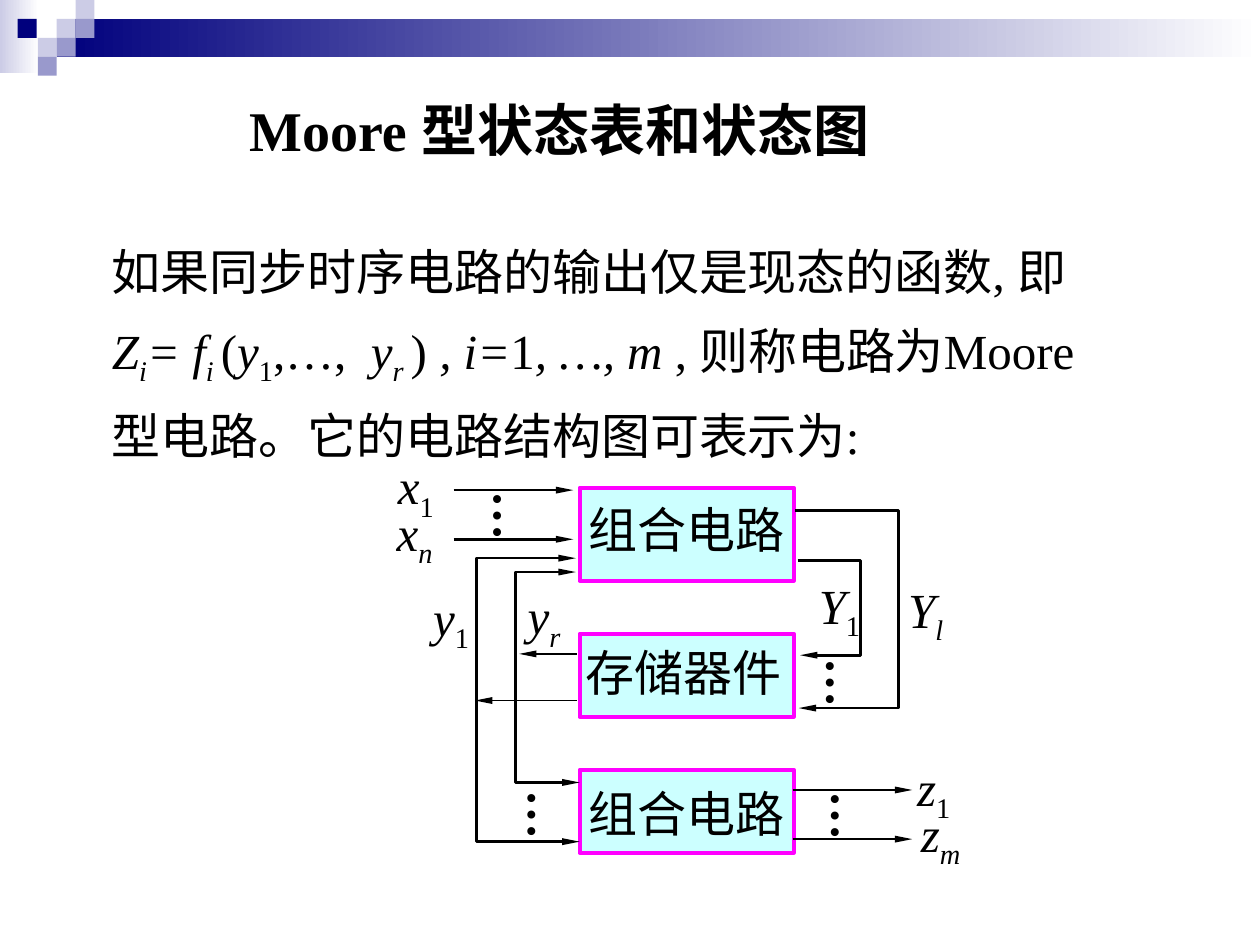
from lxml import etree
from pptx import Presentation
from pptx.dml.color import RGBColor
from pptx.enum import shapes, text
from pptx.oxml import ns
from pptx import util as u

PX = 9144
FONT = "Times New Roman"
COLORS = {
    "ink": "000000", "paper": "FFFFFF", "navy": "00007D", "lilac": "CCCCE6",
    "violet": "9999CC", "block": "CCFFFF", "edge": "FF00FF",
}


def rgb(name):
    """Return the named colour."""
    return RGBColor.from_string(COLORS[name])


def px(*lengths):
    """Turn px lengths into EMU."""
    return [u.Emu(length * PX) for length in lengths]


def add_text(slide, box, runs, size=28, bold=False, wrap=False, spacing=None,
             before=None, vertical=False):
    """Add text from (words, style) runs, where i is italic and s is subscript."""
    label = slide.shapes.add_textbox(*px(*box))
    frame = label.text_frame
    frame.word_wrap = wrap
    frame.auto_size = text.MSO_AUTO_SIZE.SHAPE_TO_FIT_TEXT
    if vertical:
        frame.margin_left, frame.margin_right = px(5, 5)
        frame.margin_top, frame.margin_bottom = px(10, 10)
        frame._txBody.bodyPr.set("vert", "eaVert")
    paragraph = frame.paragraphs[0]
    if spacing:
        paragraph.line_spacing = spacing
    if before:
        paragraph.space_before = u.Pt(before)
    for words, style in runs:
        run = paragraph.add_run()
        run.text = words
        run.font.name = FONT
        run.font.size = u.Pt(size)
        run.font.bold = bold
        run.font.italic = "i" in style
        run.font.color.rgb = rgb("ink")
        if "s" in style:
            run._r.get_or_add_rPr().set("baseline", "-25000")


def add_rect(slide, box, fill, fade_to=None, edge=None):
    """Add a rectangle with a plain or fading fill."""
    rect = slide.shapes.add_shape(shapes.MSO_SHAPE.RECTANGLE, *px(*box))
    rect.shadow.inherit = False
    if fade_to:
        rect.fill.gradient()
        rect.fill.gradient_angle = 0
        for stop, color in zip(rect.fill.gradient_stops, (fill, fade_to)):
            stop.color.rgb = rgb(color)
    else:
        rect.fill.solid()
        rect.fill.fore_color.rgb = rgb(fill)
    if edge:
        rect.line.color.rgb = rgb(edge)
        rect.line.width = u.Pt(2.25)
    else:
        rect.line.fill.background()


def style_wire(wire, weight, ends):
    """Draw a wire in ink with slim arrowheads at the given ends."""
    wire.line.color.rgb = rgb("ink")
    wire.line.width = u.Pt(weight)
    for end in ends:
        etree.SubElement(wire.line._get_or_add_ln(), ns.qn(f"a:{end}"),
                         type="triangle", w="sm", len="lg")


def add_arrow(slide, start, end, weight=1.5):
    """Add a straight arrow."""
    arrow = slide.shapes.add_connector(
        shapes.MSO_CONNECTOR.STRAIGHT, *px(*start, *end))
    style_wire(arrow, weight, ["tailEnd"])
    etree.SubElement(arrow._element.spPr, ns.qn("a:effectLst"))


def add_loop(slide, points, ends):
    """Add a bent wire through the points."""
    builder = slide.shapes.build_freeform(*points[0], scale=PX)
    builder.add_line_segments(points[1:], close=False)
    loop = builder.convert_to_shape()
    loop.shadow.inherit = False
    loop.fill.background()
    style_wire(loop, 1.5, ends)


def add_banner(slide, left, top, width):
    """Place the fading bar and its checker of squares."""
    add_rect(slide, (left, top, 31, 58), "lilac", fade_to="paper")
    add_rect(slide, (left + 45, top + 15, width - 45, 30), "navy", fade_to="paper")
    squares = [(45, 15, "lilac"), (60, 0, "lilac"), (60, 15, "violet"),
               (30, 30, "lilac"), (14, 15, "navy"), (45, 30, "violet"),
               (30, 45, "violet")]
    for x, y, color in squares:
        add_rect(slide, (left + x, top + y, 15, 15), color)


def add_definition(slide, box):
    """Place the definition of a Moore circuit."""
    runs = [
        ("如果同步时序电路的输出仅是现态的函数, 即", ""), ("Z", "i"), ("i", "is"),
        ("= f", "i"), ("i ", "is"), ("(", ""), ("y", "i"), ("1", "s"),
        (",…,  ", ""), ("y", "i"), ("r ", "is"), (") ", ""), (", i=", "i"),
        ("1", ""), (", …, m", "i"),
        (" , 则称电路为Moore型电路。它的电路结构图可表示为:", ""),
    ]
    add_text(slide, box, runs, wrap=True, spacing=1.3, before=17.5)


def add_circuit(slide, left, top):
    """Place the block diagram of the circuit."""
    def at(x, y):
        return left + x, top + y

    blocks = [("组合电路", 37, 74, (157, 47, 178)),
              ("存储器件", 153, 66, (155, 160, 189)),
              ("组合电路", 261, 66, (157, 272, 178))]
    for name, y, height, (name_x, name_y, name_width) in blocks:
        add_rect(slide, (*at(160, y), 170, height), "block", edge="edge")
        add_text(slide, (*at(name_x, name_y), name_width, 52), [(name, "")],
                 wrap=True, spacing=0.9)

    arrows = [(60, 155, 39, 1.5), (60, 155, 78, 1.5),
              (158, 112, 169, 1), (158, 77, 206, 1),
              (329, 424, 277, 1.5), (329, 424, 316, 1.5)]
    for start, end, y, weight in arrows:
        add_arrow(slide, at(start, y), at(end, y), weight)

    both, last = ["headEnd", "tailEnd"], ["tailEnd"]
    loops = [(160, 271, 109, 104, 157, both), (160, 318, 78, 93, 157, both),
             (333, 95, 383, 170, 335, last), (331, 55, 413, 212, 334, last)]
    for start, y1, bend, y2, end, ends in loops:
        add_loop(slide, [at(start, y1), at(bend, y1), at(bend, y2), at(end, y2)],
                 ends)

    signals = [("x", "1", 6, 7), ("x", "n", 5, 44),
               ("y", "r", 109, 110), ("y", "1", 34, 111),
               ("Y", "1", 340, 102), ("Y", "l", 411, 105),
               ("z", "1", 418, 246), ("z", "m", 421, 283)]
    for letter, index, x, y in signals:
        index_style = "s" if index.isdigit() else "is"
        add_text(slide, (*at(x, y), 60, 63),
                 [(letter, "i"), (index, index_style)])

    for x, y in [(70, 30), (97, 267), (334, 163), (338, 268)]:
        add_text(slide, (*at(x, y), 66, 49), [("…", "")], bold=True, vertical=True)


def main():
    """Build and save the slide."""
    deck = Presentation()
    deck.slide_width, deck.slide_height = px(1000, 750)
    slide = deck.slides.add_slide(deck.slide_layouts[6])
    add_banner(slide, 0, 0, 1000)
    add_text(slide, (188, 71, 524, 64), [("Moore 型状态表和状态图", "")],
             size=32, bold=True)
    add_definition(slide, (79, 173, 820, 201))
    add_circuit(slide, 300, 350)
    deck.save("out.pptx")


if __name__ == "__main__":
    main()
